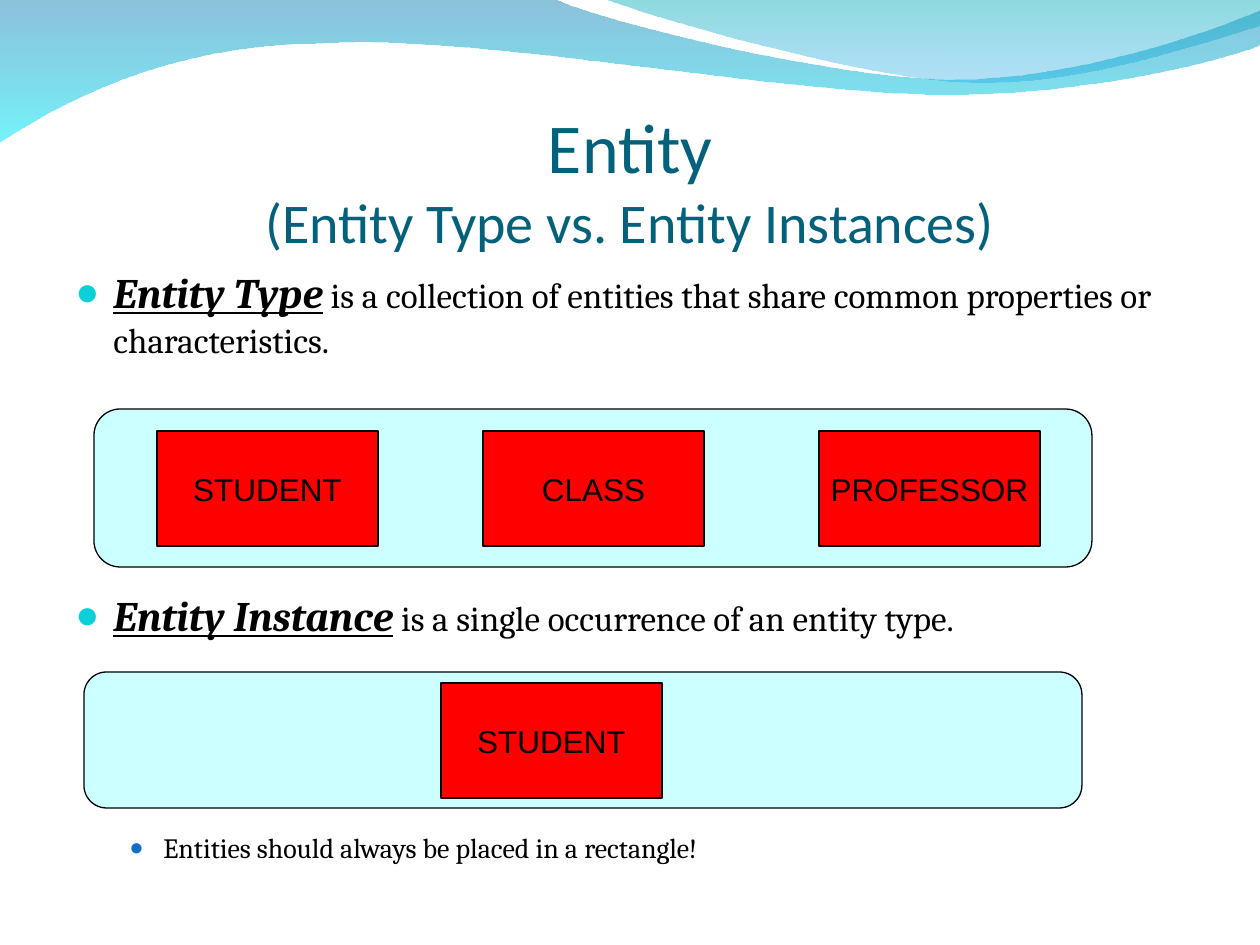
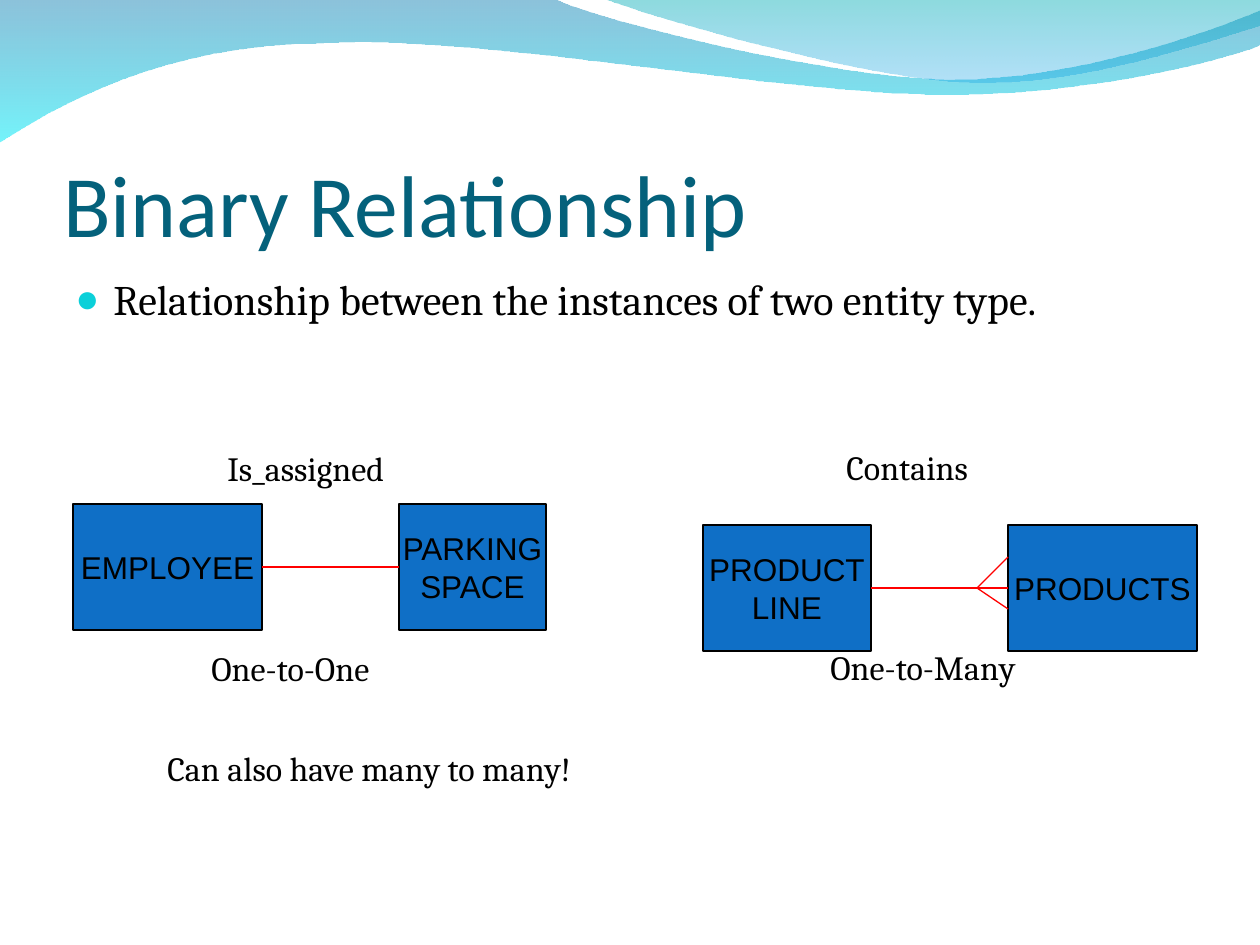
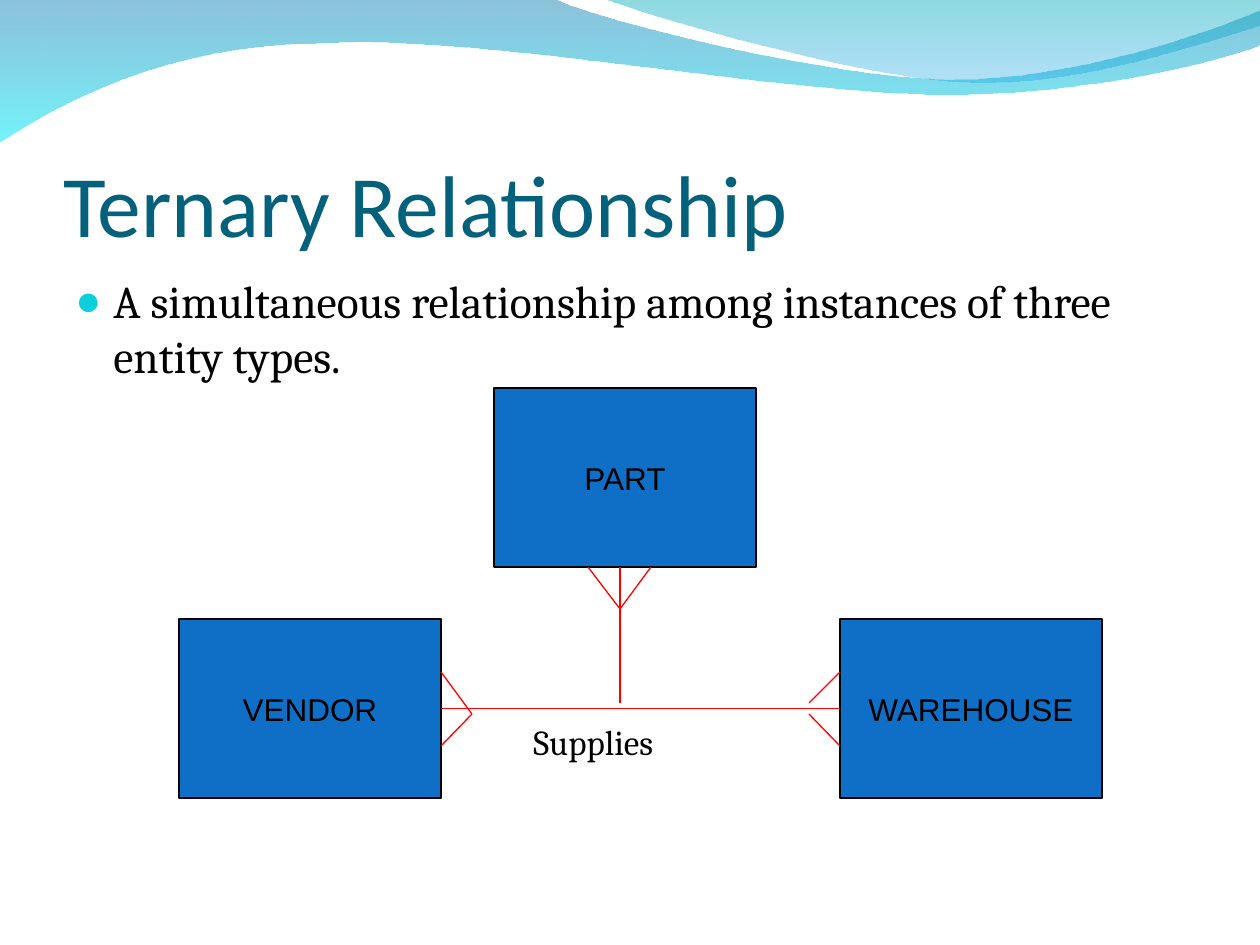
from lxml import etree
from pptx import Presentation, util as u
from pptx.dml.color import RGBColor
from pptx.enum import shapes, text
from pptx.oxml.ns import qn

EMU_PER_PX = 914400 / 126
COLORS = {
    "title": "04617B", "ink": "000000", "bullet": "0BD0D9", "sub_bullet": "0F6FC6",
    "panel": "CCFFFF", "red": "FF0000", "blue": "0F6FC6",
}
TITLE_BOX = (63, 97, 1134, 158)
BODY_BOX = (63, 267, 1134, 605)
PART_SIZE = (262, 179)

TITLE = {"name": "Calibri", "size": u.Pt(50)}
BODY = {"name": "Cambria", "size": u.Pt(20)}
TERM = {"name": "Cambria", "size": u.Pt(24), "bold": True, "italic": True, "underline": True}
LABEL = {"name": "Cambria", "size": u.Pt(19.4)}
ENTITY = {"name": "Arial", "size": u.Pt(18)}

# Each wave: start point, then straight (one point) or Bezier (three points) segments;
# last, its gradient stops as (colour, opacity in percent).
WAVES = [
    ((0, -1),
     [[(554, -1)],
      [(600, 21), (837, 79), (955, 79)],
      [(1075, 79), (1207, 33), (1260, 11)],
      [(1261, 45)],
      [(1239, 55), (1096, 96), (940, 94)],
      [(781, 94), (481, 35), (324, 43)],
      [(163, 44), (58, 105), (-1, 142)]],
     [("0079AF", 45), ("00EBF8", 55)]),
    ((604, -1),
     [[(641, 14), (859, 78), (969, 82)],
      [(1079, 87), (1211, 40), (1260, 26)],
      [(1260, 0)]],
     [("00ADB6", 45), ("009BE5", 30)]),
]


def px(length):
    return u.Emu(round(length * EMU_PER_PX))


def rgb(color):
    return RGBColor.from_string(COLORS.get(color, color))


def set_values(target, values):
    for name, value in values.items():
        setattr(target, name, value)


def place(shape, box):
    set_values(shape, dict(zip(("left", "top", "width", "height"), map(px, box))))


def add_span(para, words, font, color="ink"):
    span = para.add_run()
    span.text = words
    set_values(span.font, font)
    span.font.color.rgb = rgb(color)


def bend(wave, segments):
    """Turn the straight sides of a freeform into Bezier curves where controls are given."""
    sides = list(wave.element.iter(qn("a:lnTo")))
    for side, segment in zip(sides, segments):
        if len(segment) == 1:
            continue
        curve = etree.Element(qn("a:cubicBezTo"))
        for x, y in segment:
            etree.SubElement(curve, qn("a:pt"), x=str(px(x) - wave.left), y=str(px(y) - wave.top))
        side.getparent().replace(side, curve)


def add_waves(slide):
    """Draw the top waves and move them to the master that all slides share."""
    tree = slide.slide_layout.slide_master.shapes[0].element.getparent()
    for index, (start, segments, stops) in enumerate(WAVES):
        builder = slide.shapes.build_freeform(*map(px, start), scale=1.0)
        corners = [segment[-1] for segment in segments]
        builder.add_line_segments([(px(x), px(y)) for x, y in corners], close=True)
        wave = builder.convert_to_shape()
        bend(wave, segments)
        wave.shadow.inherit = False
        wave.line.fill.background()
        wave.fill.gradient()
        wave.fill.gradient_angle = 270
        for stop, (color, _) in zip(wave.fill.gradient_stops, stops):
            stop.color.rgb = rgb(color)
        for tint, (_, opacity) in zip(wave.element.spPr.iter(qn("a:srgbClr")), stops):
            etree.SubElement(tint, qn("a:alpha"), val=str(opacity * 1000))
        tree.insert(2 + index, wave.element)


def add_title(slide, lines, align=text.PP_ALIGN.LEFT):
    """Fill the title from (words, font) lines."""
    title = slide.shapes.title
    place(title, TITLE_BOX)
    frame = title.text_frame
    set_values(frame, {
        "margin_left": 0, "margin_right": 0, "margin_top": u.Inches(0.05), "margin_bottom": 0,
        "vertical_anchor": text.MSO_ANCHOR.BOTTOM, "word_wrap": True,
        "auto_size": text.MSO_AUTO_SIZE.NONE,
    })
    for index, (words, font) in enumerate(lines):
        para = frame.add_paragraph() if index else frame.paragraphs[0]
        para.alignment = align
        add_span(para, words, font, "title")


def add_text_box(slide, box=BODY_BOX):
    frame = slide.shapes.add_textbox(*map(px, box)).text_frame
    frame.word_wrap = True
    return frame


def add_para(frame, spans, before=0, spacing=None, indent=0, hanging=0,
             bullet=None, bullet_size=95):
    """Add (words, font) spans as a paragraph; indents are in px."""
    first = frame.paragraphs[0]
    para = first if not first.runs else frame.add_paragraph()
    set_values(para, {"space_before": u.Pt(before), "line_spacing": spacing})
    for words, font in spans:
        add_span(para, words, font)
    props = para._p.get_or_add_pPr()
    props.set("marL", str(px(indent)))
    props.set("indent", str(px(-hanging)))
    if bullet:
        tint = etree.SubElement(props, qn("a:buClr"))
        etree.SubElement(tint, qn("a:srgbClr"), val=COLORS[bullet])
        etree.SubElement(props, qn("a:buSzPct"), val=str(bullet_size * 1000))
        etree.SubElement(props, qn("a:buFont"), typeface="Arial")
        etree.SubElement(props, qn("a:buChar"), char="●")


def add_bullet(frame, spans, **options):
    add_para(frame, spans, indent=38, hanging=38, bullet="bullet", **options)


def add_box(slide, kind, box, fill):
    shape = slide.shapes.add_shape(kind, *map(px, box))
    shape.shadow.inherit = False
    shape.fill.solid()
    shape.fill.fore_color.rgb = rgb(fill)
    shape.line.color.rgb = rgb("ink")
    shape.line.width = u.Pt(0.75)
    return shape


def add_entity(slide, name, box, fill="blue", kind=shapes.MSO_SHAPE.RECTANGLE):
    entity = add_box(slide, kind, box, fill)
    frame = entity.text_frame
    set_values(frame, {"word_wrap": False, "vertical_anchor": text.MSO_ANCHOR.MIDDLE})
    for index, words in enumerate(name.split("\n")):
        para = frame.add_paragraph() if index else frame.paragraphs[0]
        para.alignment = text.PP_ALIGN.CENTER
        add_span(para, words, ENTITY)
    return entity


def add_line(slide, start=(0, 0), end=(0, 0)):
    line = slide.shapes.add_connector(shapes.MSO_CONNECTOR.STRAIGHT, *map(px, start + end))
    line.line.color.rgb = rgb("red")
    line.line.width = u.Pt(0.75)
    etree.SubElement(line.element.spPr, qn("a:effectLst"))
    return line


def relate(slide, left_entity, right_entity):
    line = add_line(slide)
    line.begin_connect(left_entity, 3)
    line.end_connect(right_entity, 1)


def entity_slide(slide):
    add_title(slide, [("Entity", {**TITLE, "size": u.Pt(40)}),
                      ("(Entity Type vs. Entity Instances)", {**TITLE, "size": u.Pt(32)})],
              text.PP_ALIGN.CENTER)
    body = add_text_box(slide)
    add_bullet(body, [("Entity Type", TERM),
                      (" is a collection of entities that share common properties or "
                       "characteristics.", BODY)], spacing=u.Pt(25))
    add_bullet(body, [("Entity Instance", TERM),
                      (" is a single occurrence of an entity type.", BODY)],
               before=134.5, spacing=u.Pt(25))
    add_para(body, [("Entities should always be placed in a rectangle!",
                     {**BODY, "size": u.Pt(16)})],
             before=111, spacing=u.Pt(17), indent=88, hanging=34,
             bullet="sub_bullet", bullet_size=85)

    panels = [
        ((94, 409, 998, 158), 431, [("STUDENT", 157), ("CLASS", 483), ("PROFESSOR", 819)]),
        ((84, 672, 998, 136), 683, [("STUDENT", 441)]),
    ]
    for panel, top, entities in panels:
        add_box(slide, shapes.MSO_SHAPE.FLOWCHART_ALTERNATE_PROCESS, panel, "panel")
        for name, left in entities:
            add_entity(slide, name, (left, top, 221, 115), "red",
                       shapes.MSO_SHAPE.FLOWCHART_PROCESS)


def binary_slide(slide):
    add_title(slide, [("Binary Relationship", TITLE)])
    body = add_text_box(slide)
    add_bullet(body, [("Relationship between the instances of two entity type.",
                       {**BODY, "size": u.Pt(24)})])
    add_para(body, [("Is_assigned", LABEL)], before=71, indent=152)
    add_para(body, [("One-to-One", LABEL)], before=91, indent=136)
    add_para(body, [("Can also have many to many!", LABEL)], before=33.5, indent=92)
    right_labels = add_text_box(slide, (818, 440, 250, 260))
    add_para(right_labels, [("Contains", LABEL)], indent=16)
    add_para(right_labels, [("One-to-Many", LABEL)], before=91)

    employee = add_entity(slide, "EMPLOYEE", (73, 504, 189, 126))
    parking = add_entity(slide, "PARKING\nSPACE", (399, 504, 147, 126))
    product_line = add_entity(slide, "PRODUCT\nLINE", (703, 525, 168, 126))
    products = add_entity(slide, "PRODUCTS", (1008, 525, 189, 126))
    relate(slide, employee, parking)
    relate(slide, product_line, products)
    for toe in (557, 609):
        add_line(slide, (977, 588), (1008, toe))


def ternary_slide(slide):
    add_title(slide, [("Ternary Relationship", TITLE)])
    body = add_text_box(slide)
    add_bullet(body, [("A simultaneous relationship among instances of three entity types.",
                       {**BODY, "size": u.Pt(26)})])
    add_para(body, [("Supplies", BODY)], before=193, indent=458)

    vendor = add_entity(slide, "VENDOR", (179, 619, *PART_SIZE))
    add_entity(slide, "PART", (494, 388, *PART_SIZE))
    warehouse = add_entity(slide, "WAREHOUSE", (840, 619, *PART_SIZE))
    relate(slide, vendor, warehouse)
    add_line(slide, (620, 567), (620, 703))
    crow_feet = [
        ((809, 703), (840, 672)), ((809, 714), (840, 746)),
        ((620, 609), (588, 567)), ((620, 609), (651, 567)),
        ((472, 714), (441, 746)), ((472, 714), (441, 672)),
    ]
    for heel, toe in crow_feet:
        add_line(slide, heel, toe)


def main():
    deck = Presentation()
    deck.slide_width, deck.slide_height = px(1260), px(945)
    title_only = deck.slide_layouts[5]
    for index, fill_slide in enumerate((entity_slide, binary_slide, ternary_slide)):
        slide = deck.slides.add_slide(title_only)
        if index == 0:
            add_waves(slide)
        fill_slide(slide)
    deck.save("out.pptx")


if __name__ == "__main__":
    main()
